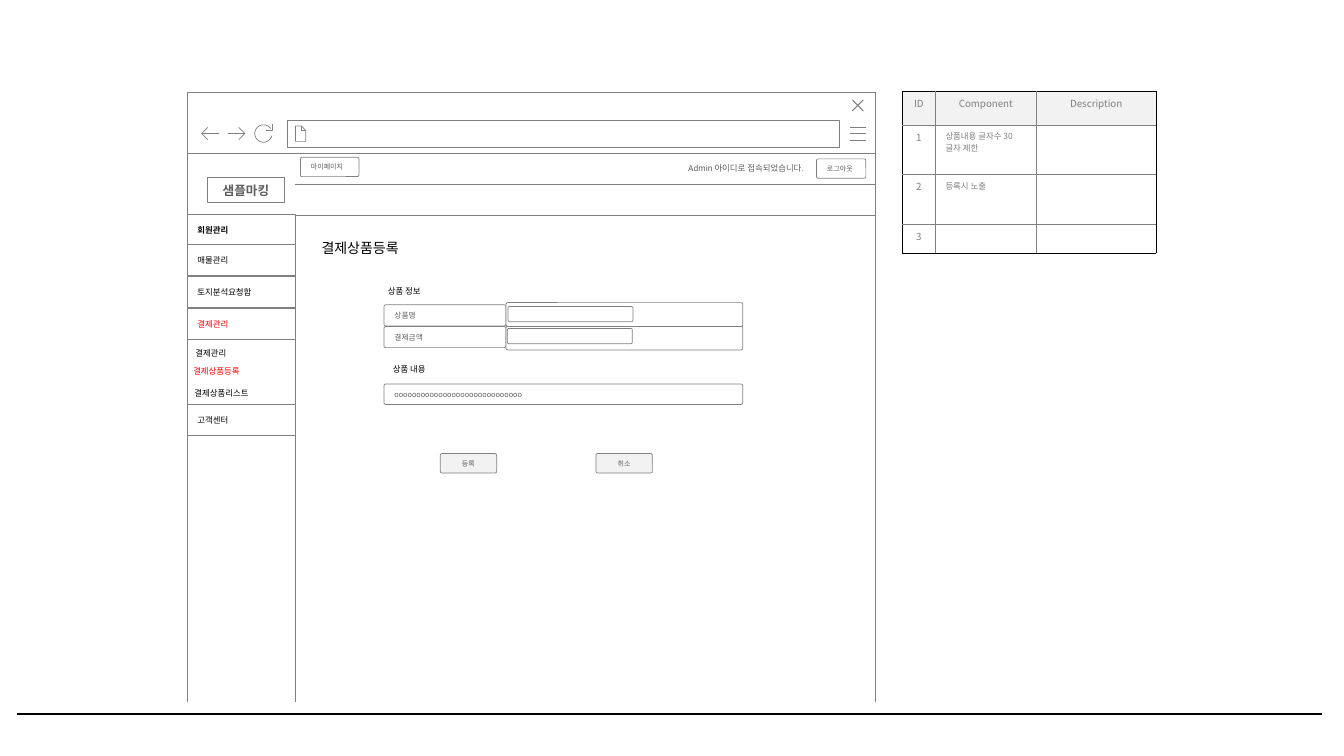
from dataclasses import dataclass
from math import cos, radians, sin
from lxml.etree import SubElement
from pptx import Presentation
from pptx.dml.color import RGBColor
from pptx.enum.shapes import MSO_CONNECTOR as Connector, MSO_SHAPE as Preset
from pptx.enum.text import MSO_ANCHOR as Anchor, MSO_AUTO_SIZE as AutoSize, PP_ALIGN as Align
from pptx.oxml.ns import qn
from pptx.util import Pt


@dataclass(frozen=True)
class Theme:
    black: str = "000000"
    red: str = "FF0000"
    ink: str = "5F5F5F"
    grey: str = "808080"
    pale: str = "F2F2F2"
    white: str = "FFFFFF"
    latin: str = "Roboto"
    korean: str = "Noto Sans CJK KR"
    heading: float = 10
    logo: float = 9
    table: float = 7
    body: float = 6
    field: float = 5.5
    button: float = 5
    hairline: float = 0.25
    thin: float = 0.5
    icon: float = 0.75
    rule: float = 1.75


T = Theme()

TITLE = ("결제상품등록", 222.5, 167.8, 96.5, 19.4)
LOGO = ("샘플마킹", 148.3, 126.7, 54.7, 18)
MENU = [
    ("회원관리", 153.4, T.black, True),
    ("매물관리", 174.4, T.black, False),
    ("토지분석요청함", 197.4, T.black, False),
    ("결제관리", 220.4, T.red, False),
    ("고객센터", 288.7, T.black, False),
]
SUBMENU = [
    ("결제관리", 132.5, 244.8, T.black),
    ("결제상품등록", 131, 258.2, T.red),
    ("결제상품리스트", 131.8, 273.6, T.black),
]
SECTIONS = [("상품 정보", 270, 200.9), ("상품 내용", 273.6, 256.5)]
ACCOUNT = ("Admin 아이디로 접속되었습니다.", 484.5, 113, 108, 14.4)
TOP_BUTTONS = [("로그아웃", 583.2, 113.5, 35.3), ("마이페이지", 214.6, 112.3, 41.8)]
FORM_BUTTONS = [("등록", 314.5), ("취소", 425.7)]
FORM_ROWS = [("결제금액", 233.2, 233, 362.4, 234.6), ("상품명", 217.7, 216.2, 362.9, 218.9)]
CONTENT = ("o" * 29, 274.3, 274.3, 256.3, 14.6)

CHROME = (133.9, 65.8, 491.6, 43.6)
ADDRESS = (205.2, 85.7, 394.6, 19.8)
FRAME_LINES = [
    (133.9, 108.7, 133.9, 501.3),
    (211, 131.8, 625.5, 131.8),
    (133.9, 154, 625.5, 154),
    (211, 154, 211, 501.3),
    (625.5, 109.4, 625.5, 501.3),
]
BOTTOM_RULE = (12.2, 510, 944, 510)

RELOAD_ARC = [(188.2 + 6.2 * cos(radians(a)), 95.4 + 6.2 * sin(radians(a))) for a in range(15, 326, 10)]
ICONS = [
    ([[(607, y), (618.5, y)] for y in (91, 95.5, 100)], T.thin),
    ([[(148.4, 99.8), (144, 95.4), (148.4, 91)], [(144, 95.4), (156.2, 95.4)]], T.thin),
    ([[(170.6, 91), (175, 95.4), (170.6, 99.8)], [(175, 95.4), (162.8, 95.4)]], T.thin),
    ([[(194.4, 88.6), (194.4, 92.9), (190.1, 92.9)], RELOAD_ARC], T.thin),
    ([[(616.6, 71.3), (608.8, 79.2)], [(608.8, 71.3), (616.6, 79.2)]], T.icon),
    ([[(215.3, 90), (215.3, 93.2), (218.4, 93.2)],
      [(211, 90), (211, 101), (218.4, 101), (218.4, 93.2), (215.3, 90), (211, 90)]], T.thin),
]

TABLE_AT = (644.4, 65.2)
COLUMNS = [23.8, 72, 85.7]
ROWS = [24, 35.4, 35.4, 20.6]
CELLS = [
    ("ID", "Component", "Description"),
    ("1", "상품내용 글자수 30글자 제한", ""),
    ("2", "등록시 노출", ""),
    ("3", "", ""),
]


def rgb(color):
    return RGBColor.from_string(color)


def style_text(frame, size, color, font=T.latin, bold=False, align=Align.LEFT):
    for paragraph in frame.paragraphs:
        paragraph.alignment = align
        for run in paragraph.runs:
            run.font.size = Pt(size)
            run.font.bold = bold
            run.font.name = font
            run.font.color.rgb = rgb(color)
            east_asian = SubElement(run.font._element, qn("a:ea"))
            east_asian.set("typeface", T.korean)


def write(frame, text, size, color, anchor=Anchor.MIDDLE, **style):
    frame.text = text
    frame.word_wrap = True
    frame.auto_size = AutoSize.NONE
    frame.vertical_anchor = anchor
    frame.margin_left = Pt(7.2)
    frame.margin_right = Pt(7.2 if style.get("align") == Align.CENTER else 0)
    frame.margin_top = frame.margin_bottom = Pt(3.6)
    style_text(frame, size, color, **style)


def add_box(shapes, x, y, w, h, radius=None, fill=T.white):
    preset = Preset.RECTANGLE if radius is None else Preset.ROUNDED_RECTANGLE
    box = shapes.add_shape(preset, Pt(x), Pt(y), Pt(w), Pt(h))
    if radius is not None:
        box.adjustments[0] = radius
    box.shadow.inherit = False
    box.fill.solid()
    box.fill.fore_color.rgb = rgb(fill)
    box.line.color.rgb = rgb(T.grey)
    box.line.width = Pt(T.thin)
    return box.text_frame


def add_label(shapes, text, x, y, w, h, color, font=T.korean):
    label = shapes.add_textbox(Pt(x), Pt(y), Pt(w), Pt(h))
    write(label.text_frame, text, T.body, color, anchor=Anchor.TOP, font=font)


def add_line(shapes, ends, color=T.grey, width=T.thin):
    line = shapes.add_connector(Connector.STRAIGHT, *map(Pt, ends))
    line.line.color.rgb = rgb(color)
    line.line.width = Pt(width)
    SubElement(line._element.spPr, qn("a:effectLst"))


def add_icon(shapes, strokes, width):
    points = [[(Pt(x), Pt(y)) for x, y in stroke] for stroke in strokes]
    builder = shapes.build_freeform(*points[0][0], scale=1.0)
    for index, stroke in enumerate(points):
        if index:
            builder.move_to(*stroke[0])
        builder.add_line_segments(stroke[1:], close=False)
    icon = builder.convert_to_shape()
    icon.shadow.inherit = False
    icon.fill.background()
    icon.line.color.rgb = rgb(T.grey)
    icon.line.width = Pt(width)


def add_borders(cell, colors):
    for side, color in colors.items():
        border = SubElement(cell._tc.get_or_add_tcPr(), qn(f"a:{side}"), w=str(Pt(T.hairline)))
        SubElement(SubElement(border, qn("a:solidFill")), qn("a:srgbClr"), val=color)


def add_component_table(shapes):
    frame = shapes.add_table(len(ROWS), len(COLUMNS), *map(Pt, (*TABLE_AT, sum(COLUMNS), sum(ROWS))))
    table = frame.table
    table.first_row = table.horz_banding = False
    for column, width in zip(table.columns, COLUMNS):
        column.width = Pt(width)
    for r, (height, texts) in enumerate(zip(ROWS, CELLS)):
        table.rows[r].height = Pt(height)
        for c, text in enumerate(texts):
            cell = table.cell(r, c)
            cell.text = text
            add_borders(cell, {
                "lnL": T.black if c == 0 else T.grey,
                "lnR": T.black if c == len(COLUMNS) - 1 else T.grey,
                "lnT": T.black if r == 0 else T.grey,
                "lnB": T.black if r == len(ROWS) - 1 else T.grey,
            })
            cell.fill.solid()
            cell.fill.fore_color.rgb = rgb(T.white if r else T.pale)
            if text:
                centred = r == 0 or c == 0
                style_text(cell.text_frame, T.table if centred else T.body, T.grey, font=T.korean,
                           align=Align.CENTER if centred else Align.LEFT)
            else:
                SubElement(cell.text_frame.paragraphs[0]._p, qn("a:endParaRPr"), sz=str(T.table * 100))


def main():
    deck = Presentation()
    deck.slide_width, deck.slide_height = Pt(960), Pt(540)
    slide = deck.slides.add_slide(deck.slide_layouts[5])
    shapes = slide.shapes

    title, *place = TITLE
    heading = shapes.title
    heading.left, heading.top, heading.width, heading.height = map(Pt, place)
    write(heading.text_frame, title, T.heading, T.black, anchor=Anchor.TOP, font=T.korean)

    add_line(shapes, BOTTOM_RULE, T.black, T.rule)
    add_component_table(shapes)
    for ends in FRAME_LINES:
        add_line(shapes, ends)

    name, *place = LOGO
    write(add_box(shapes, *place, radius=0), name, T.logo, T.ink, bold=True, align=Align.CENTER)
    for text, top, color, bold in MENU:
        write(add_box(shapes, 133.9, top, 77.1, 22.3), text, T.body, color, bold=bold)
    for text, left, top, color in SUBMENU:
        add_label(shapes, text, left, top, 67, 14.4, color)

    add_label(shapes, *ACCOUNT, T.ink, font=T.latin)
    for text, left, top, width in TOP_BUTTONS:
        write(add_box(shapes, left, top, width, 13.9, 0.088), text, T.button, T.ink)

    for text, left, top in SECTIONS:
        add_label(shapes, text, left, top, 45.4, 14.4, T.black)
    for text, label_top, row_top, input_left, input_top in FORM_ROWS:
        write(add_box(shapes, 274.3, label_top, 87.1, 15.1, 0.088), text, T.field, T.ink)
        add_box(shapes, 361.4, row_top, 169.2, 17, 0.088)
        add_box(shapes, input_left, input_top, 89.3, 11, 0.112)
    text, *place = CONTENT
    write(add_box(shapes, *place, radius=0.088), text, T.field, T.ink)
    for text, left in FORM_BUTTONS:
        write(add_box(shapes, left, 324, 40.3, 13.9, 0.088, T.pale), text, T.button, T.ink, align=Align.CENTER)

    add_box(shapes, *CHROME)
    add_box(shapes, *ADDRESS)
    for strokes, width in ICONS:
        add_icon(shapes, strokes, width)
    deck.save("out.pptx")


if __name__ == "__main__":
    main()
